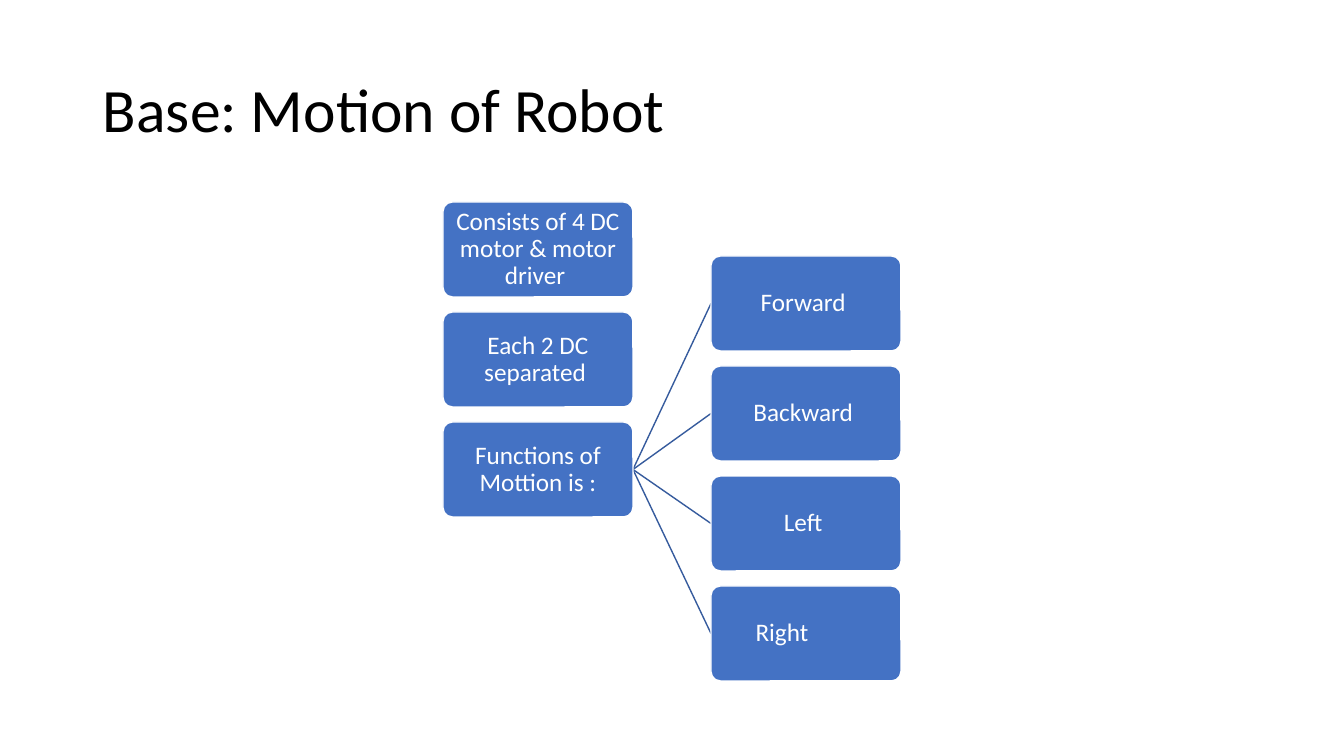
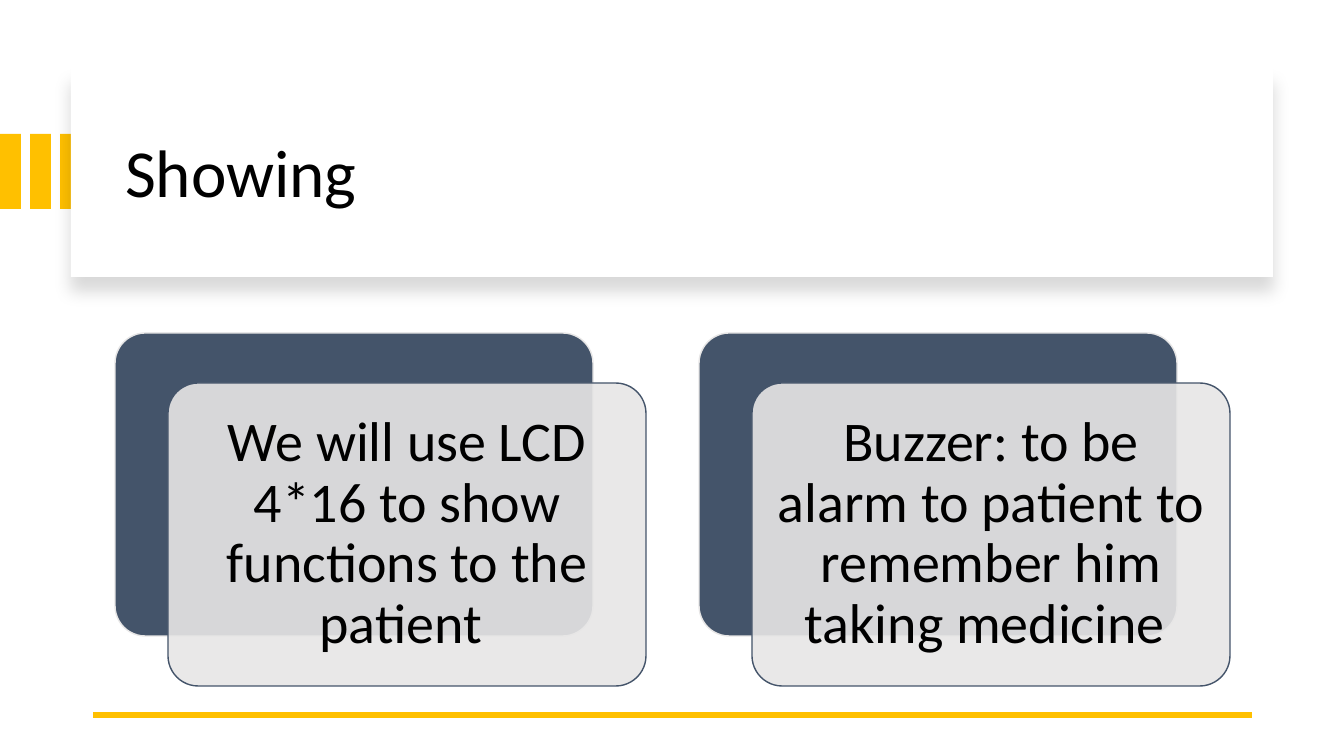
import pptx
import pptx.util
import pptx.dml.color
import pptx.enum.shapes
import pptx.enum.text
import pptx.oxml
import pptx.oxml.ns

RGBColor = pptx.dml.color.RGBColor
SHAPES = pptx.enum.shapes.MSO_SHAPE
ALIGN = pptx.enum.text.PP_ALIGN
ANCHOR = pptx.enum.text.MSO_ANCHOR

BLACK = RGBColor(0x00, 0x00, 0x00)
WHITE = RGBColor(0xFF, 0xFF, 0xFF)
BLUE = RGBColor(0x44, 0x72, 0xC4)
BRANCH_BLUE = RGBColor(0x36, 0x5B, 0x9D)
GOLD = RGBColor(0xFF, 0xC0, 0x00)
SLATE = RGBColor(0x44, 0x54, 0x6A)
PALE = RGBColor(0xE7, 0xE6, 0xE6)

FONT = "Calibri"
EMU_PER_PIXEL = 914400 / 100.8
SLIDE_WIDTH, SLIDE_HEIGHT = 1344, 756


def px(pixels):
    return pptx.util.Emu(round(pixels * EMU_PER_PIXEL))


def write_text(shape, text, size, color=BLACK, align=ALIGN.LEFT, margins=(10, 5), space_after=0):
    frame = shape.text_frame
    frame.word_wrap = True
    frame.vertical_anchor = ANCHOR.MIDDLE
    frame.margin_left = frame.margin_right = px(margins[0])
    frame.margin_top = frame.margin_bottom = px(margins[1])
    paragraph = frame.paragraphs[0]
    paragraph.alignment = align
    paragraph.line_spacing = 0.9
    paragraph.space_after = pptx.util.Pt(space_after)
    run = paragraph.add_run()
    run.text = text
    run.font.name = FONT
    run.font.size = pptx.util.Pt(size)
    run.font.color.rgb = color


def add_title(slide, box, text, size):
    write_text(slide.shapes.add_textbox(*map(px, box)), text, size)


def add_box(slide, box, fill, line=None, preset=SHAPES.RECTANGLE):
    shape = slide.shapes.add_shape(preset, *map(px, box))
    shape.shadow.inherit = False
    shape.fill.solid()
    shape.fill.fore_color.rgb = fill
    if line is None:
        shape.line.fill.background()
    else:
        shape.line.color.rgb = line
        shape.line.width = pptx.util.Pt(1)
    if preset == SHAPES.ROUNDED_RECTANGLE:
        shape.adjustments[0] = 0.1
    return shape


def add_line(slide, start, end, color, width):
    line = slide.shapes.add_connector(
        pptx.enum.shapes.MSO_CONNECTOR.STRAIGHT, *map(px, start + end))
    line.line.color.rgb = color
    line.line.width = pptx.util.Pt(width)
    pptx.oxml.ns.qn("a:effectLst")
    line._element.spPr.append(effect_list())


def effect_list(content=""):
    namespace = pptx.oxml.ns.nsdecls("a")
    return pptx.oxml.parse_xml(f"<a:effectLst {namespace}>{content}</a:effectLst>")


def set_shadow(shape, opacity, blur, distance):
    properties = shape._element.spPr
    properties.remove(properties.find(pptx.oxml.ns.qn("a:effectLst")))
    properties.append(effect_list(
        f'<a:outerShdw blurRad="{pptx.util.Pt(blur)}" dist="{pptx.util.Pt(distance)}" '
        'dir="5400000" algn="t" rotWithShape="0"><a:srgbClr val="000000">'
        f'<a:alpha val="{opacity * 1000}"/></a:srgbClr></a:outerShdw>'))


def set_opacity(shape, percent):
    color = shape._element.spPr.find(
        f'{pptx.oxml.ns.qn("a:solidFill")}/{pptx.oxml.ns.qn("a:srgbClr")}')
    namespace = pptx.oxml.ns.nsdecls("a")
    color.append(pptx.oxml.parse_xml(f'<a:alpha {namespace} val="{percent * 1000}"/>'))


def add_hierarchy(slide, box, facts, functions):
    left, top, width, height = box
    node_width, node_height, pitch = 190, 95, 110
    right_column = left + width - node_width
    functions_top = top + height - node_height - pitch * (len(functions) - 1)
    root = (left + node_width, top + pitch * (len(facts) - 1) + node_height / 2)

    def add_column(column_left, column_top, labels):
        for index, label in enumerate(labels):
            node = add_box(slide, (column_left, column_top + index * pitch, node_width, node_height),
                           BLUE, WHITE, SHAPES.ROUNDED_RECTANGLE)
            write_text(node, label, 18, color=WHITE, align=ALIGN.CENTER,
                       margins=(1, 1), space_after=6)

    for index in range(len(functions)):
        branch_end = (right_column, functions_top + index * pitch + node_height / 2)
        add_line(slide, root, branch_end, BRANCH_BLUE, 1)
    add_column(left, top, facts)
    add_column(right_column, functions_top, functions)


def add_header(slide, box, title):
    left, top, width, height = box
    bar_width, bar_pitch = 21, 30
    for index in range(3):
        add_box(slide, (index * bar_pitch, top + 66, bar_width, 75), GOLD)
    panel = add_box(slide, box, WHITE)
    set_shadow(panel, opacity=15, blur=11, distance=10)
    add_title(slide, (left + 44, top + 22, width - 80, height - 38), title, 48)


def add_cards(slide, box, texts):
    left, top, width, height = box
    shift_x, shift_y, pitch = 53, 50, 584
    card_width = width - pitch * (len(texts) - 1) - shift_x
    card_height = height - shift_y
    for index, text in enumerate(texts):
        card_left = left + index * pitch
        add_box(slide, (card_left, top, card_width, card_height),
                SLATE, PALE, SHAPES.ROUNDED_RECTANGLE)
        front = add_box(slide, (card_left + shift_x, top + shift_y, card_width, card_height),
                        PALE, SLATE, SHAPES.ROUNDED_RECTANGLE)
        set_opacity(front, 90)
        write_text(front, text, 40, align=ALIGN.CENTER, margins=(17, 17), space_after=14)


def build_motion_slide(slide):
    add_title(slide, (93, 40, 1159, 146), "Base: Motion of Robot ", 44)
    add_hierarchy(
        slide, (443, 202, 458, 479),
        ["Consists of 4 DC motor & motor driver ", "Each 2 DC separated ", "Functions of Mottion is :"],
        ["Forward ", "Backward ", "Left ", "Right \t"])


def build_showing_slide(slide):
    add_header(slide, (71, 68, 1202, 209), "Showing ")
    add_line(slide, (1252, 715), (93, 715), GOLD, 4.5)
    add_cards(slide, (115, 333, 1115, 353), [
        "We will use LCD 4*16 to show functions to the patient ",
        "Buzzer: to be alarm to patient to remember him taking medicine "])


presentation = pptx.Presentation()
presentation.slide_width = px(SLIDE_WIDTH)
presentation.slide_height = px(SLIDE_HEIGHT)
for build in (build_motion_slide, build_showing_slide):
    build(presentation.slides.add_slide(presentation.slide_layouts[6]))
presentation.save("out.pptx")
